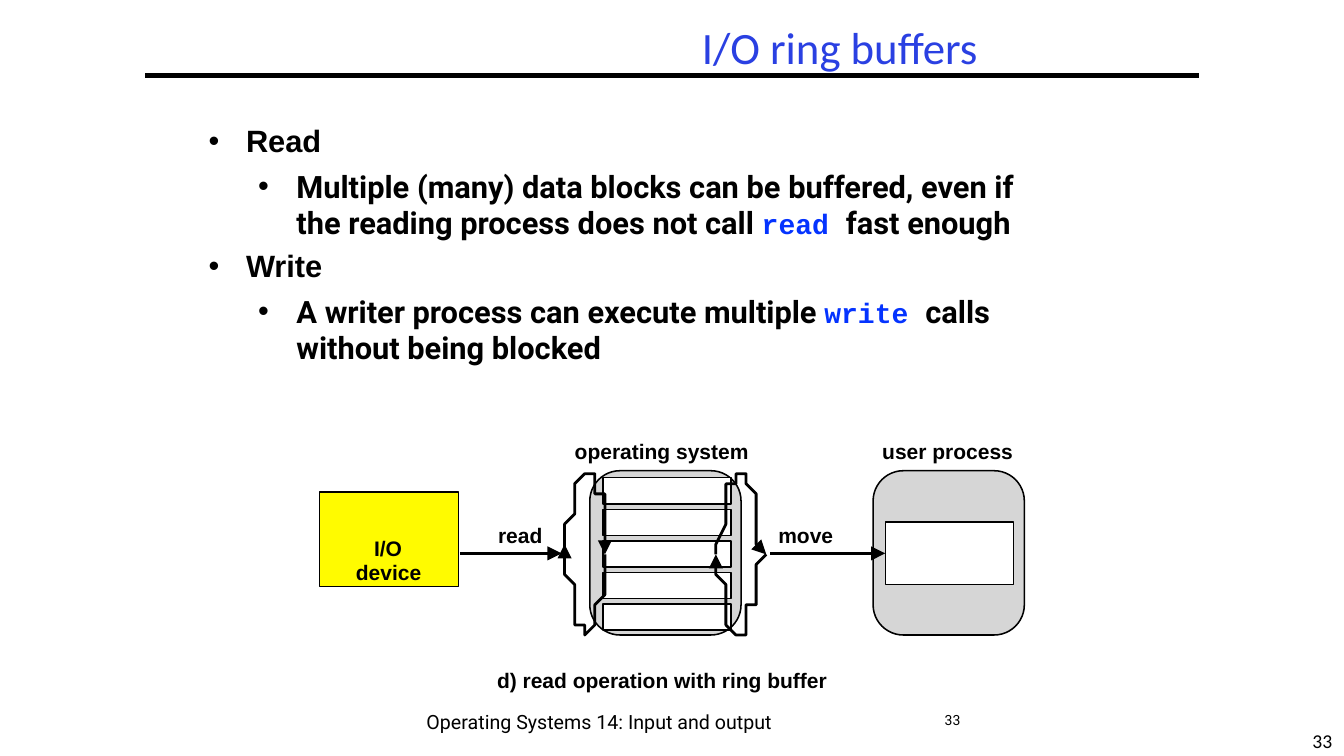
from lxml import etree
from pptx import Presentation, util as u
from pptx.dml.color import RGBColor
from pptx.enum import shapes, text
from pptx.oxml import ns

BLACK = RGBColor(0x00, 0x00, 0x00)
WHITE = RGBColor(0xFF, 0xFF, 0xFF)
GREY = RGBColor(0xD6, 0xD6, 0xD6)
YELLOW = RGBColor(0xFF, 0xFB, 0x00)
TITLE_BLUE = RGBColor(0x2A, 0x40, 0xE2)
CODE_BLUE = RGBColor(0x04, 0x33, 0xFF)

# Grid: 133.3 columns by 75 rows of a tenth of an inch
COLUMNS, ROWS = 133.3, 75
CELL = u.Inches(0.1)
FLOW_ROW = 54.9      # row of the read and move arrows
SLOT_PITCH = 3.13    # rows from one buffer slot to the next


def grid(*cells):
    return [round(cell * CELL) for cell in cells]


def add_run(paragraph, words, size, font, color=BLACK, bold=False):
    run = paragraph.add_run()
    run.text = words
    run.font.size = u.Pt(size)
    run.font.name = font
    run.font.bold = bold
    run.font.color.rgb = color


def prepare_frame(shape, insets=(0, 0.1, 0, 0), wrap=True, anchor=text.MSO_ANCHOR.TOP):
    frame = shape.text_frame
    frame.auto_size = text.MSO_AUTO_SIZE.NONE
    frame.word_wrap = wrap
    frame.vertical_anchor = anchor
    (frame.margin_left, frame.margin_top,
     frame.margin_right, frame.margin_bottom) = grid(*insets)
    return frame


def place(shape, left, top, width, height):
    shape.left, shape.top, shape.width, shape.height = grid(left, top, width, height)


def indent(paragraph, left, first):
    properties = paragraph._p.get_or_add_pPr()
    left, first = grid(left, first)
    properties.set("marL", str(left))
    properties.set("indent", str(first))
    return properties


def add_bullet(paragraph, left, first):
    properties = indent(paragraph, left, first)
    etree.SubElement(properties, ns.qn("a:buChar")).set("char", "•")
    tabs = etree.SubElement(properties, ns.qn("a:tabLst"))
    tab = etree.SubElement(tabs, ns.qn("a:tab"))
    tab.set("pos", str(grid(left)[0]))
    tab.set("algn", "l")


def add_label(slide, words, cells, size=15, font="Arial", bold=True, align=None):
    box = slide.shapes.add_textbox(*grid(*cells))
    paragraph = prepare_frame(box, wrap=False).paragraphs[0]
    paragraph.alignment = align
    add_run(paragraph, words, size, font, bold=bold)


def add_block(slide, cells, fill, kind=shapes.MSO_SHAPE.RECTANGLE, width=1):
    block = slide.shapes.add_shape(kind, *grid(*cells))
    block.shadow.inherit = False
    block.fill.solid()
    block.fill.fore_color.rgb = fill
    block.line.color.rgb = BLACK
    block.line.width = u.Pt(width)
    return block


def add_panel(slide, cells):
    panel = add_block(slide, cells, GREY, shapes.MSO_SHAPE.ROUNDED_RECTANGLE, 1.1)
    panel.adjustments[0] = 0.2


def add_arrowhead(line):
    tail = etree.SubElement(line.line._get_or_add_ln(), ns.qn("a:tailEnd"))
    for name, value in (("type", "triangle"), ("w", "lg"), ("len", "lg")):
        tail.set(name, value)


def add_line(slide, start, end, row, width):
    line = slide.shapes.add_connector(shapes.MSO_CONNECTOR.STRAIGHT,
                                      *grid(start, row, end, row))
    line.line.color.rgb = BLACK
    line.line.width = u.Pt(width)
    etree.SubElement(line._element.spPr, ns.qn("a:effectLst"))
    return line


def add_arrow(slide, start, end, target=None):
    arrow = add_line(slide, start, end, FLOW_ROW, 2)
    if target is not None:
        arrow.end_connect(target, 1)
    # The arrowhead belongs to the line properties
    add_arrowhead(arrow)


def add_arc(slide, start, peak, tip, steps=12):
    """Draw two half parabolas that meet at the peak, with a head at the tip."""
    def side(end):
        return [(peak[0] + (end[0] - peak[0]) * step / steps,
                 peak[1] + (end[1] - peak[1]) * (step / steps) ** 2)
                for step in range(steps + 1)]

    points = side(start)[::-1] + side(tip)[1:]
    builder = slide.shapes.build_freeform(*points[0], scale=CELL)
    builder.add_line_segments(points[1:], close=False)
    arc = builder.convert_to_shape()
    arc.shadow.inherit = False
    arc.fill.background()
    arc.line.color.rgb = BLACK
    arc.line.width = u.Pt(2)
    add_arrowhead(arc)


def add_title(slide):
    title = slide.shapes.title
    place(title, 31.1, 1.8, 104.4, 5.5)
    frame = prepare_frame(title, anchor=text.MSO_ANCHOR.MIDDLE)
    frame.paragraphs[0].alignment = text.PP_ALIGN.CENTER
    add_run(frame.paragraphs[0], "I/O ring buffers", 32, "Calibri", TITLE_BLUE)


def add_points(slide):
    body = slide.placeholders[1]
    place(body, 20.5, 11.2, 86.1, 25.5)
    frame = prepare_frame(body, (0, 0.9, 3.6, 0))
    points = [
        ("Read", "Multiple (many) data blocks can be buffered, even if "
                 "the reading process does not call ", "read ", "fast enough"),
        ("Write", "A writer process can execute multiple ", "write ",
         "calls without being blocked"),
    ]
    for number, (heading, before, code, after) in enumerate(points):
        top = frame.add_paragraph() if number else frame.paragraphs[0]
        top.space_before = u.Pt(4.5 if number else 0)
        add_bullet(top, 3.9, -3.7)
        add_run(top, heading, 22, "Arial", bold=True)

        detail = frame.add_paragraph()
        detail.level = 1
        detail.line_spacing = u.Pt(26)
        detail.space_before = u.Pt(6.5)
        add_bullet(detail, 8.9, -3.8)
        add_run(detail, before, 22, "Roboto", bold=True)
        add_run(detail, code, 20, "Courier New", CODE_BLUE, bold=True)
        add_run(detail, after, 22, "Roboto", bold=True)


def add_device(slide):
    device = add_block(slide, (31.7, 48.8, 13.8, 9.4), YELLOW)
    paragraph = prepare_frame(device, (0, 4.5, 0, 0)).paragraphs[0]
    paragraph.alignment = text.PP_ALIGN.LEFT
    paragraph.line_spacing = u.Pt(17)
    indent(paragraph, 3.6, 1.8)
    add_run(paragraph, "I/O device", 15, "Arial", bold=True)


def add_diagram(slide):
    # Boxes and buffer slots
    add_device(slide)
    for left in (58.5, 86.6):
        add_panel(slide, (left, 46.7, 15, 16.3))
    target = add_block(slide, (87.8, 51.8, 12.7, 6.2), WHITE)
    for slot in range(5):
        add_block(slide, (59.8, 47.4 + slot * SLOT_PITCH, 12.7, 2.6), WHITE)

    # Data flow and turning ring
    add_arrow(slide, 45.6, 55.7)
    add_arrow(slide, 76.4, 87.8, target)
    add_arc(slide, (56, 54.6), (58.4, 46.6), (60.5, 54.9))
    add_arc(slide, (60.4, 54.8), (58.1, 62.8), (56, 54.5))
    add_arc(slide, (71.1, 54.8), (73.5, 46.8), (75.6, 55.1))
    add_arc(slide, (75.5, 55.1), (73.1, 63.1), (71, 54.8))

    # Labels
    add_label(slide, "operating system", (57, 43.4, 17.5, 2.7))
    add_label(slide, "user process", (87.5, 43.4, 13.2, 2.7))
    add_label(slide, "read", (49.4, 51.7, 4.7, 2.7))
    add_label(slide, "move", (77.2, 51.7, 5.7, 2.7))
    add_label(slide, "d) read operation with ring buffer", (49.3, 66.1, 33, 2.7))


def add_footer(slide):
    add_label(slide, "Operating Systems 14: Input and output",
              (42.3, 70.3, 34.7, 2.5), 14, "Roboto", False)
    add_label(slide, "33", (93.7, 70.5, 2.2, 1.8), 10, "Roboto", False)
    add_label(slide, "33", (129, 72.2, 4.3, 2.8), 14, "Calibri", False,
              text.PP_ALIGN.CENTER)


def main():
    presentation = Presentation()
    presentation.slide_width, presentation.slide_height = grid(COLUMNS, ROWS)
    slide = presentation.slides.add_slide(presentation.slide_layouts[1])
    add_line(slide, 14.4, 118.9, 7.5, 3)
    add_title(slide)
    add_points(slide)
    add_diagram(slide)
    add_footer(slide)
    presentation.save("out.pptx")


if __name__ == "__main__":
    main()
